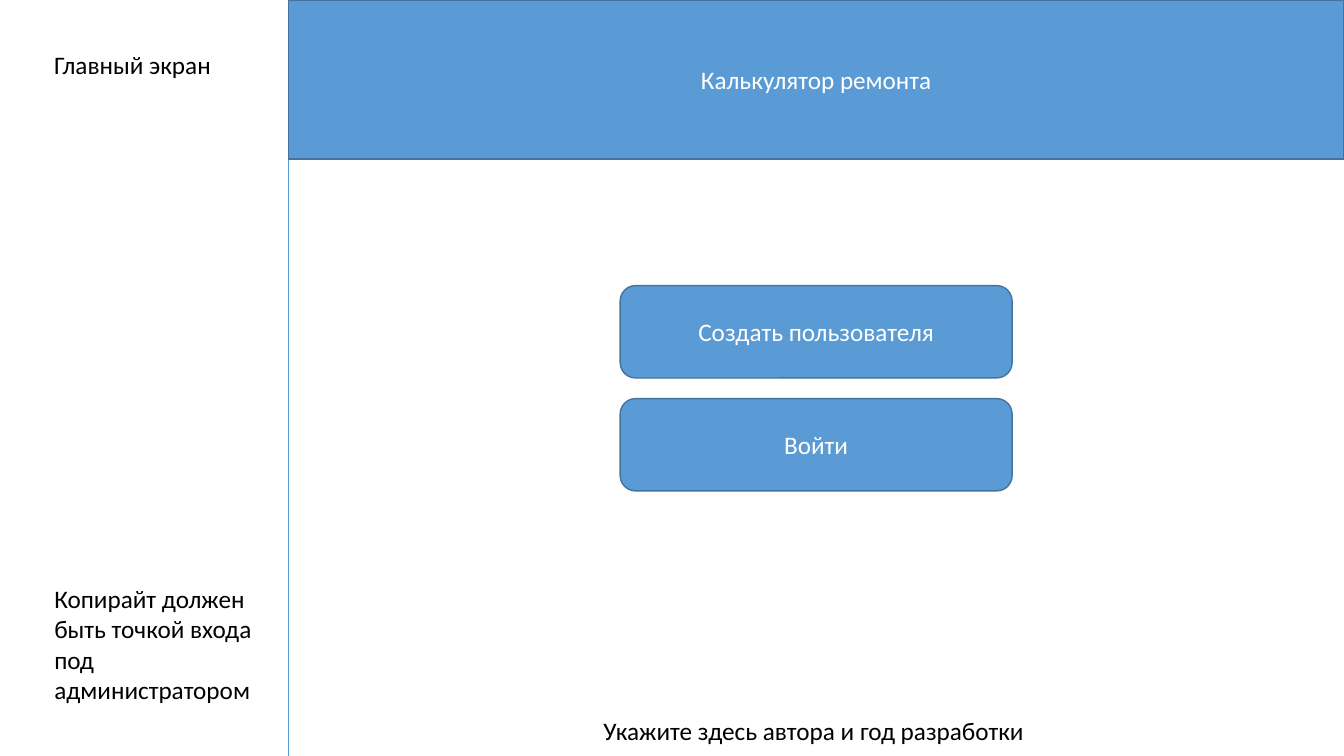
from lxml import etree
from pptx import Presentation, util as u
from pptx.dml.color import RGBColor
from pptx.enum import shapes, text
from pptx.oxml.ns import qn

Pt = u.Pt


def color(value):
    return RGBColor.from_string(value)


class Screen:
    """Style of the mock-up and the slide being drawn."""
    font, size = "Calibri", 18
    accent, border, ink, paper = "5B9BD5", "43739E", "000000", "FFFFFF"

    def __init__(self, slide):
        self.slide = slide

    def add_words(self, frame, words, ink, align):
        paragraph = frame.paragraphs[0]
        paragraph.alignment = align
        run = paragraph.add_run()
        run.text = words
        run.font.name = self.font
        run.font.size = Pt(self.size)
        run.font.color.rgb = color(ink)

    def label(self, words, left, top, width, height, wrap=False):
        box = self.slide.shapes.add_textbox(Pt(left), Pt(top), Pt(width), Pt(height))
        frame = box.text_frame
        frame.word_wrap = wrap
        frame.auto_size = text.MSO_AUTO_SIZE.SHAPE_TO_FIT_TEXT
        self.add_words(frame, words, self.ink, text.PP_ALIGN.LEFT)

    def block(self, kind, words, left, top, width, height):
        shape = self.slide.shapes.add_shape(kind, Pt(left), Pt(top), Pt(width), Pt(height))
        shape.shadow.inherit = False
        shape.fill.solid()
        shape.fill.fore_color.rgb = color(self.accent)
        shape.line.color.rgb = color(self.border)
        shape.line.width = Pt(1)
        frame = shape.text_frame
        frame.word_wrap = True
        frame.vertical_anchor = text.MSO_ANCHOR.MIDDLE
        self.add_words(frame, words, self.paper, text.PP_ALIGN.CENTER)

    def divider(self, x, height):
        line = self.slide.shapes.add_connector(
            shapes.MSO_CONNECTOR.STRAIGHT, Pt(x), Pt(0), Pt(x), Pt(height))
        line.line.color.rgb = color(self.accent)
        line.line.width = Pt(0.5)
        etree.SubElement(line._element.spPr, qn("a:effectLst"))


WIDTH, HEIGHT = 960, 540
SIDEBAR, MARGIN = 206, 31.7
BUTTON_WIDTH, BUTTON_HEIGHT, BUTTON_TOP, BUTTON_STEP = 280, 66, 204, 80.7

presentation = Presentation()
presentation.slide_width, presentation.slide_height = Pt(WIDTH), Pt(HEIGHT)
screen = Screen(presentation.slides.add_slide(presentation.slide_layouts[6]))

# Sidebar title and divider
screen.label("Главный экран", MARGIN, 31.7, 127.4, 29)
screen.divider(SIDEBAR, HEIGHT)

# Header
screen.block(shapes.MSO_SHAPE.RECTANGLE, "Калькулятор ремонта",
             SIDEBAR, 0, WIDTH - SIDEBAR, 113.5)

# Buttons, centred in the main area
button_left = (SIDEBAR + WIDTH - BUTTON_WIDTH) / 2
for row, caption in enumerate(["Создать пользователя", "Войти"]):
    screen.block(shapes.MSO_SHAPE.ROUNDED_RECTANGLE, caption, button_left,
                 BUTTON_TOP + row * BUTTON_STEP, BUTTON_WIDTH, BUTTON_HEIGHT)

# Footer and sidebar note
screen.label("Укажите здесь автора и год разработки", 424, 507.6, 319, 29)
screen.label("Копирайт должен быть точкой входа под администратором",
             MARGIN, 413.3, 173.5, 94.5, wrap=True)

presentation.save("out.pptx")
